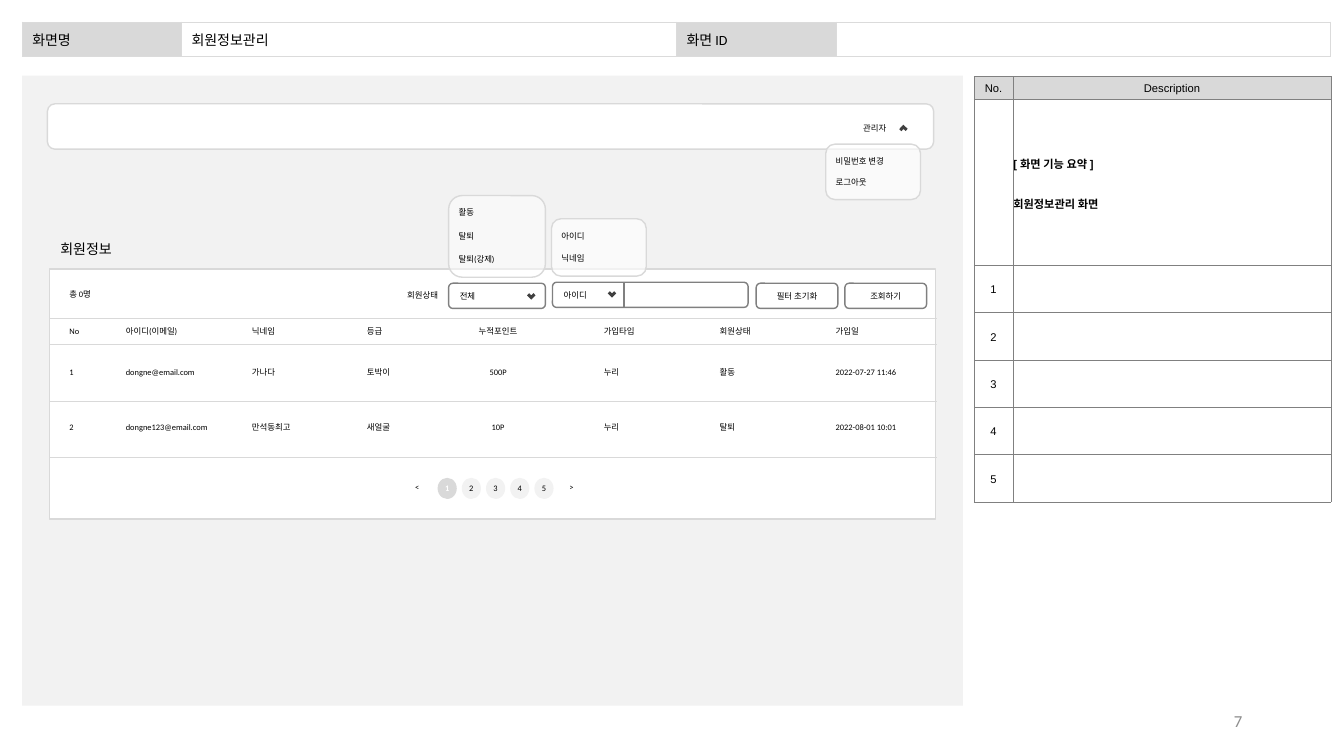
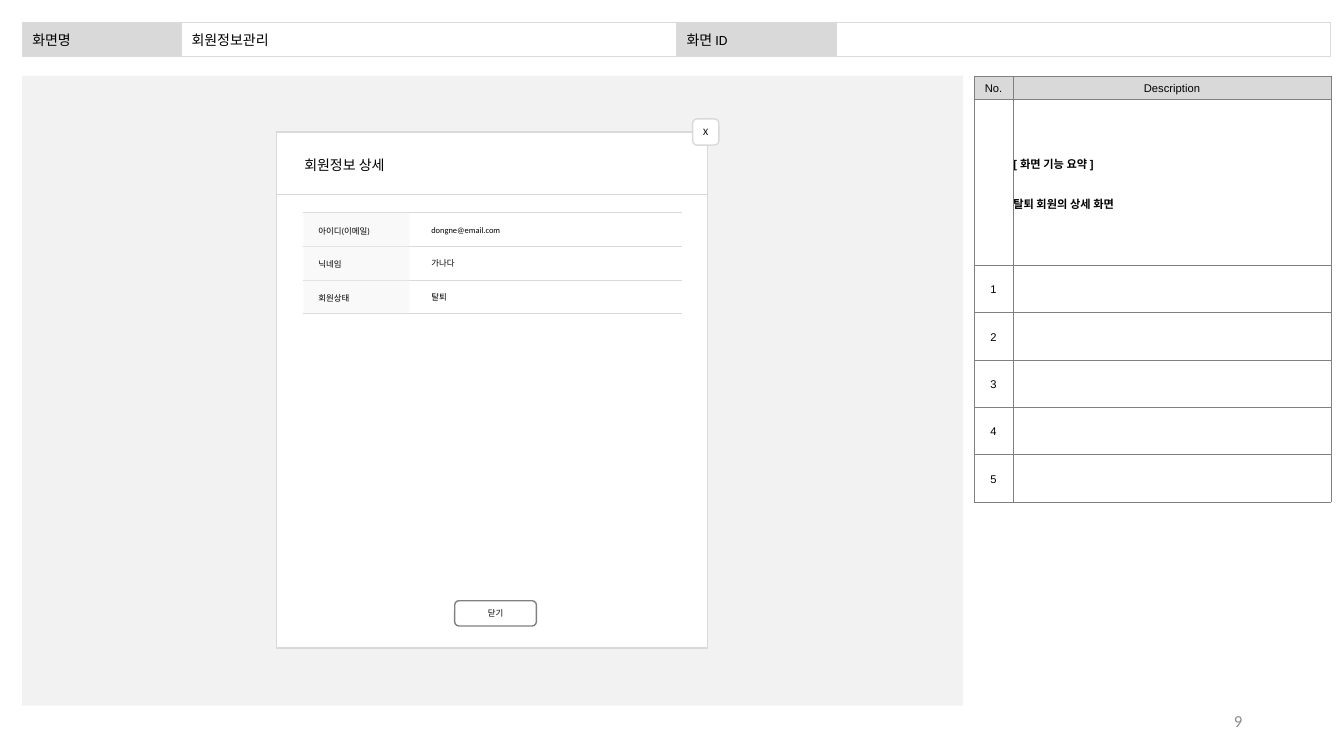
from lxml.etree import SubElement
from pptx import Presentation
from pptx.dml.color import RGBColor
from pptx.enum.shapes import MSO_CONNECTOR, MSO_SHAPE as SHAPE
from pptx.enum.text import MSO_ANCHOR as ANCHOR, PP_ALIGN as ALIGN
from pptx.oxml.ns import qn
from pptx.util import Inches, Pt

# Shared palette
BLACK, WHITE, DARK = "000000", "FFFFFF", "404040"
CANVAS, PALE, BORDER = "F2F2F2", "D9D9D9", "DBDBDB"
GREY, PAGE_GREY = "808080", "8C8C8C"


def rgb(value):
    return RGBColor.from_string(value)


def write(frame, text, size=6, color=BLACK, font="Calibri", bold=False,
          align=ALIGN.LEFT, anchor=ANCHOR.TOP, spacing=None, gap=0):
    """Fill a text frame, one paragraph for each line of the text."""
    frame.word_wrap = True
    frame.vertical_anchor = anchor
    for index, line in enumerate(text.split("\n")):
        paragraph = frame.paragraphs[0] if index == 0 else frame.add_paragraph()
        paragraph.alignment = align
        if spacing:
            paragraph.line_spacing = spacing
        if index:
            paragraph.space_before = Pt(gap)
        run = paragraph.add_run()
        run.text = line
        run.font.size = Pt(size)
        run.font.name = font
        run.font.bold = bold
        run.font.color.rgb = rgb(color)


def add_label(slide, text, left, top, width=0.96, height=0.2, **style):
    box = slide.shapes.add_textbox(
        Inches(left), Inches(top), Inches(width), Inches(height))
    write(box.text_frame, text, **style)


def add_box(slide, left, top, width, height, kind=SHAPE.RECTANGLE, fill=WHITE,
            line=None, opacity=None, text=None, inset=0, **style):
    box = slide.shapes.add_shape(
        kind, Inches(left), Inches(top), Inches(width), Inches(height))
    box.shadow.inherit = False
    box.fill.solid()
    box.fill.fore_color.rgb = rgb(fill)
    if opacity is not None:
        tint = box.fill._xPr.find(".//" + qn("a:srgbClr"))
        SubElement(tint, qn("a:alpha"), val=str(opacity * 1000))
    if line:
        box.line.color.rgb = rgb(line)
        box.line.width = Pt(1)
    else:
        box.line.fill.background()
    if text:
        frame = box.text_frame
        frame.margin_left = Inches(inset)
        frame.margin_right = frame.margin_top = frame.margin_bottom = 0
        write(frame, text, anchor=ANCHOR.MIDDLE, **style)
    return box


def add_rule(slide, x1, y1, x2, y2, color=PALE, weight=1):
    rule = slide.shapes.add_connector(
        MSO_CONNECTOR.STRAIGHT, Inches(x1), Inches(y1), Inches(x2), Inches(y2))
    rule.line.color.rgb = rgb(color)
    rule.line.width = Pt(weight)
    SubElement(rule._element.spPr, qn("a:effectLst"))


def add_button(slide, text, left, top, width=0.81, align=ALIGN.CENTER, **style):
    add_box(slide, left, top, width, 0.25, SHAPE.ROUNDED_RECTANGLE,
            line=GREY, text=text, align=align, **style)


def add_chevron(slide, left, top, rotation=315):
    add_box(slide, left, top, 0.06, 0.06, SHAPE.CORNER, DARK).rotation = rotation


def add_menu(slide, items, left, top, width, height, pitch, opacity=64):
    """Open drop-down list with evenly spaced entries."""
    add_box(slide, left, top, width, height, SHAPE.ROUNDED_RECTANGLE,
            line=PALE, opacity=opacity)
    for index, item in enumerate(items):
        add_label(slide, item, left, top + 0.07 + index * pitch, width)


# Tables
def format_cell(cell, text="", fill=None, border=GREY, weight=0.25,
                inset=0, **style):
    cell.margin_left = cell.margin_right = Inches(inset)
    cell.margin_top = cell.margin_bottom = 0
    cell.vertical_anchor = ANCHOR.MIDDLE
    write(cell.text_frame, text, anchor=ANCHOR.MIDDLE, **style)
    properties = cell._tc.get_or_add_tcPr()
    for side in ("a:lnL", "a:lnR", "a:lnT", "a:lnB"):
        edge = SubElement(properties, qn(side), w=str(Pt(weight)))
        SubElement(SubElement(edge, qn("a:solidFill")),
                   qn("a:srgbClr"), val=border)
    if fill:
        cell.fill.solid()
        cell.fill.fore_color.rgb = rgb(fill)
    else:
        cell.fill.background()


def add_grid(slide, left, top, widths, heights):
    grid = slide.shapes.add_table(
        len(heights), len(widths), Inches(left), Inches(top),
        Inches(sum(widths)), Inches(sum(heights))).table
    grid.first_row = grid.horz_banding = False
    for column, width in zip(grid.columns, widths):
        column.width = Inches(width)
    for row, height in zip(grid.rows, heights):
        row.height = Inches(height)
    return grid


def add_screen_header(slide, title):
    header = add_grid(slide, 0.22, 0.22, [1.58, 4.91, 1.59, 4.9], [0.34])
    for column, text in enumerate(["화면명", title, "화면 ID", ""]):
        format_cell(header.cell(0, column), text,
                    fill=None if column % 2 else PALE,
                    border=BORDER, weight=0.75, inset=0.1, size=10)


def add_description(slide, summary):
    notes = 5
    rows = [("No.", "Description"), ("", f"[ 화면 기능 요약 ]\n{summary}")]
    rows += [(str(number), "") for number in range(1, notes + 1)]
    grid = add_grid(slide, 9.66, 0.76, [0.39, 3.15], [0.22, 1.65] + [0.47] * notes)
    for r, row in enumerate(rows):
        for c, text in enumerate(row):
            is_summary = (r, c) == (1, 1)
            format_cell(grid.cell(r, c), text, fill=WHITE if r else PALE,
                        size=8, font="Arial", spacing=1.2, gap=14,
                        bold=is_summary,
                        align=ALIGN.LEFT if is_summary else ALIGN.CENTER)


def start_screen(deck, summary, page):
    """Blank slide with the frame that every screen shares."""
    slide = deck.slides.add_slide(deck.slide_layouts[6])
    add_box(slide, 0.22, 0.75, 9.33, 6.25, fill=CANVAS)
    add_label(slide, page, 9.42, 6.95, 3, 0.4, size=12, color=PAGE_GREY,
              align=ALIGN.RIGHT, anchor=ANCHOR.MIDDLE)
    add_screen_header(slide, "회원정보관리")
    add_description(slide, summary)
    return slide


# Member list screen
def add_member_rows(slide):
    lefts = [0.59, 1.15, 2.4, 3.54, 4.62, 5.89, 7.04, 8.19]
    widths = [0.56, 1.24, 1.14, 0.96, 0.64, 0.96, 0.96, 1.03]
    points_column = 4
    rows = {
        3.19: ["No", "아이디(이메일)", "닉네임", "등급", "누적포인트",
               "가입타입", "회원상태", "가입일"],
        3.59: ["1", "dongne@email.com", "가나다", "토박이", "500P",
               "누리", "활동", "2022-07-27 11:46"],
        4.14: ["2", "dongne123@email.com", "만석동최고", "새얼굴", "10P",
               "누리", "탈퇴", "2022-08-01\u00a010:01"],
    }
    for top, values in rows.items():
        for column, value in enumerate(values):
            add_label(slide, value, lefts[column], top, widths[column],
                      align=ALIGN.CENTER if column == points_column else ALIGN.LEFT)
    for y, weight in [(3.16, 1), (3.42, 1), (3.98, 0.5), (4.54, 0.5)]:
        add_rule(slide, 0.49, y, 9.29, y, weight=weight)


def add_filters(slide):
    add_label(slide, "총 0명", 0.59, 2.82, 0.56)
    add_label(slide, "회원상태", 3.94, 2.83, 0.6)
    # Member state
    add_menu(slide, ["활동", "탈퇴", "탈퇴(강제)"], 4.45, 1.94, 0.96, 0.81,
             0.23, opacity=51)
    add_button(slide, "전체", 4.45, 2.81, 0.96, ALIGN.LEFT, inset=0.1)
    add_chevron(slide, 5.24, 2.9)
    # Search field
    add_menu(slide, ["아이디", "닉네임"], 5.47, 2.17, 0.94, 0.57, 0.22)
    add_button(slide, "아이디", 5.48, 2.8, 1.94, ALIGN.LEFT, inset=0.1)
    add_chevron(slide, 6.04, 2.88)
    add_rule(slide, 6.19, 2.81, 6.19, 3.05, GREY)
    # Actions
    add_button(slide, "필터 초기화", 7.5, 2.81)
    add_button(slide, "조회하기", 8.38, 2.81)


def add_pager(slide, pages=5, current=1):
    add_label(slide, "<", 4.02, 4.73, 0.26)
    for page in range(1, pages + 1):
        active = page == current
        add_box(slide, 4.34 + (page - 1) * 0.24, 4.74, 0.19, 0.21, SHAPE.OVAL,
                fill=PALE if active else CANVAS, text=str(page),
                color=WHITE if active else BLACK, bold=active,
                align=ALIGN.CENTER)
    add_label(slide, ">", 5.55, 4.73, 0.26)


def build_member_list(deck):
    slide = start_screen(deck, "회원정보관리 화면", "7")
    add_box(slide, 0.49, 2.67, 8.79, 2.48, line=PALE)
    add_member_rows(slide)
    add_filters(slide)
    add_pager(slide)
    # Account bar
    add_box(slide, 0.47, 1.03, 8.79, 0.45, SHAPE.ROUNDED_RECTANGLE, line=PALE)
    add_label(slide, "관리자", 8.27, 1.17, 0.81, align=ALIGN.CENTER)
    add_chevron(slide, 8.93, 1.25, 132.5)
    add_menu(slide, ["비밀번호 변경", "로그아웃"], 8.19, 1.43, 0.94, 0.55, 0.21)
    add_label(slide, "회원정보", 0.5, 2.34, 1.29, 0.27, size=10)


# Member detail screen
def build_member_detail(deck):
    slide = start_screen(deck, "탈퇴 회원의 상세 화면", "9")
    add_box(slide, 2.74, 1.31, 4.28, 5.12, line=PALE)
    add_label(slide, "회원정보 상세", 2.77, 1.5, 1.29, 0.27, size=10,
              align=ALIGN.CENTER)
    add_box(slide, 6.87, 1.18, 0.26, 0.26, SHAPE.ROUNDED_RECTANGLE, line=PALE,
            text="X", size=7, align=ALIGN.CENTER)
    add_rule(slide, 2.74, 1.93, 7.02, 1.93)
    # Field list
    fields = [("아이디(이메일)", "dongne@email.com"), ("닉네임", "가나다"),
              ("회원상태", "탈퇴")]
    top, pitch = 2.11, 1 / len(fields)
    for index in range(len(fields) + 1):
        y = top + index * pitch
        add_rule(slide, 3.01, y, 6.76, y, weight=0.5)
    add_box(slide, 3.01, top, 1.05, 1, fill=CANVAS, opacity=42)
    for index, (field, value) in enumerate(fields):
        y = top + 0.07 + index * pitch
        add_label(slide, field, 3.06, y + 0.01)
        add_label(slide, value, 4.18, y, 2.17)
    add_button(slide, "닫기", 4.51, 5.96)


def main():
    deck = Presentation()
    deck.slide_width, deck.slide_height = Inches(13.33), Inches(7.5)
    build_member_list(deck)
    build_member_detail(deck)
    deck.save("out.pptx")


main()
